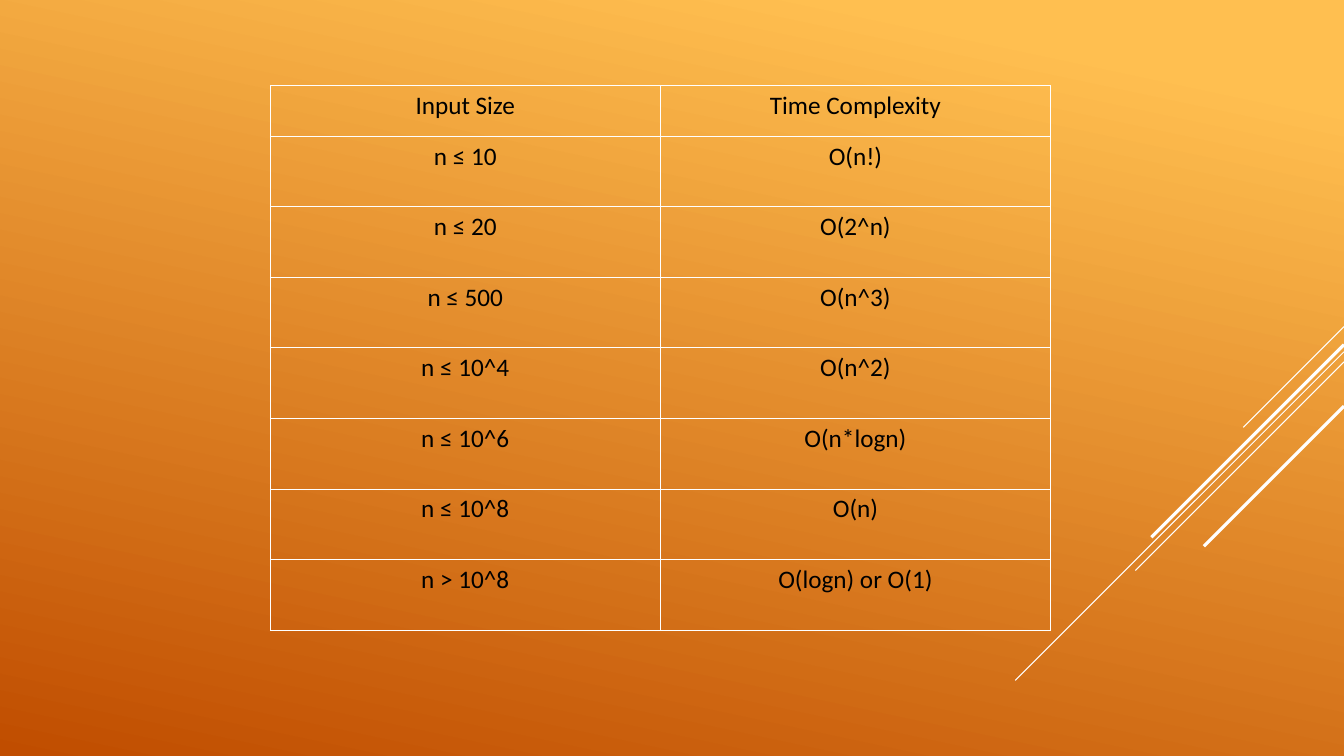
from lxml import etree
from pptx import Presentation
from pptx.dml.color import RGBColor
from pptx.enum import shapes, text
from pptx.oxml import ns
from pptx.util import Inches, Pt

WHITE, BLACK = "FFFFFF", "000000"
SLIDE_W, SLIDE_H = 13.33, 7.5

ROWS = [
    ("Input Size", "Time Complexity"),
    ("n ≤ 10", "O(n!)"),
    ("n ≤ 20", "O(2^n)"),
    ("n ≤ 500", "O(n^3)"),
    ("n ≤ 10^4", "O(n^2)"),
    ("n ≤ 10^6", "O(n*logn)"),
    ("n ≤ 10^8", "O(n)"),
    ("n > 10^8", "O(logn) or O(1)"),
]
# Top on the right edge, horizontal and vertical run, line width in points
RAYS = [
    (3.24, 1.0, 0.75),
    (3.49, 3.26, 0.75),
    (3.59, 2.07, 0.75),
    (3.42, 1.91, 2.25),
    (4.03, 1.39, 2.25),
]


def color(hex_code):
    return RGBColor.from_string(hex_code)


def paint_background(slide):
    fill = slide.background.fill
    fill.gradient()
    fill.gradient_angle = 360 - 102
    for stop, (position, hex_code) in zip(
        fill.gradient_stops, [(0.1, "FFBF50"), (1, "C04D00")]
    ):
        stop.position = position
        stop.color.rgb = color(hex_code)


def add_rays(slide, right):
    """Draw the 45-degree lines that run down and left from the right edge."""
    for top, run, width in RAYS:
        ray = slide.shapes.add_connector(
            shapes.MSO_CONNECTOR.STRAIGHT,
            Inches(right), Inches(top), Inches(right - run), Inches(top + run),
        )
        ray.line.color.rgb = color(WHITE)
        ray.line.width = Pt(width)
        etree.SubElement(ray._element.spPr, ns.qn("a:effectLst"))


def add_borders(cell, hex_code, width):
    tc_pr = cell._tc.get_or_add_tcPr()
    for side in ("a:lnL", "a:lnR", "a:lnT", "a:lnB"):
        ln = etree.SubElement(tc_pr, ns.qn(side), w=str(Pt(width)))
        solid = etree.SubElement(ln, ns.qn("a:solidFill"))
        etree.SubElement(solid, ns.qn("a:srgbClr"), val=hex_code)


def fill_cell(cell, label):
    add_borders(cell, WHITE, 0.6)
    cell.fill.background()
    cell.text_frame.text = label
    p = cell.text_frame.paragraphs[0]
    p.alignment = text.PP_ALIGN.CENTER
    font = p.runs[0].font
    font.name, font.size = "Calibri", Pt(18)
    font.color.rgb = color(BLACK)


def add_complexity_table(slide, left, top, width, height, header_height=0.5):
    table = slide.shapes.add_table(
        len(ROWS), len(ROWS[0]),
        Inches(left), Inches(top), Inches(width), Inches(height),
    ).table
    table.first_row = table.horz_banding = False
    body_height = (height - header_height) / (len(ROWS) - 1)
    for i, labels in enumerate(ROWS):
        table.rows[i].height = Inches(body_height if i else header_height)
        for j, label in enumerate(labels):
            fill_cell(table.cell(i, j), label)


def main():
    prs = Presentation()
    prs.slide_width, prs.slide_height = Inches(SLIDE_W), Inches(SLIDE_H)
    slide = prs.slides.add_slide(prs.slide_layouts[6])
    paint_background(slide)
    add_rays(slide, SLIDE_W)
    add_complexity_table(slide, 2.68, 0.85, 7.74, 5.4)
    prs.save("out.pptx")


if __name__ == "__main__":
    main()
